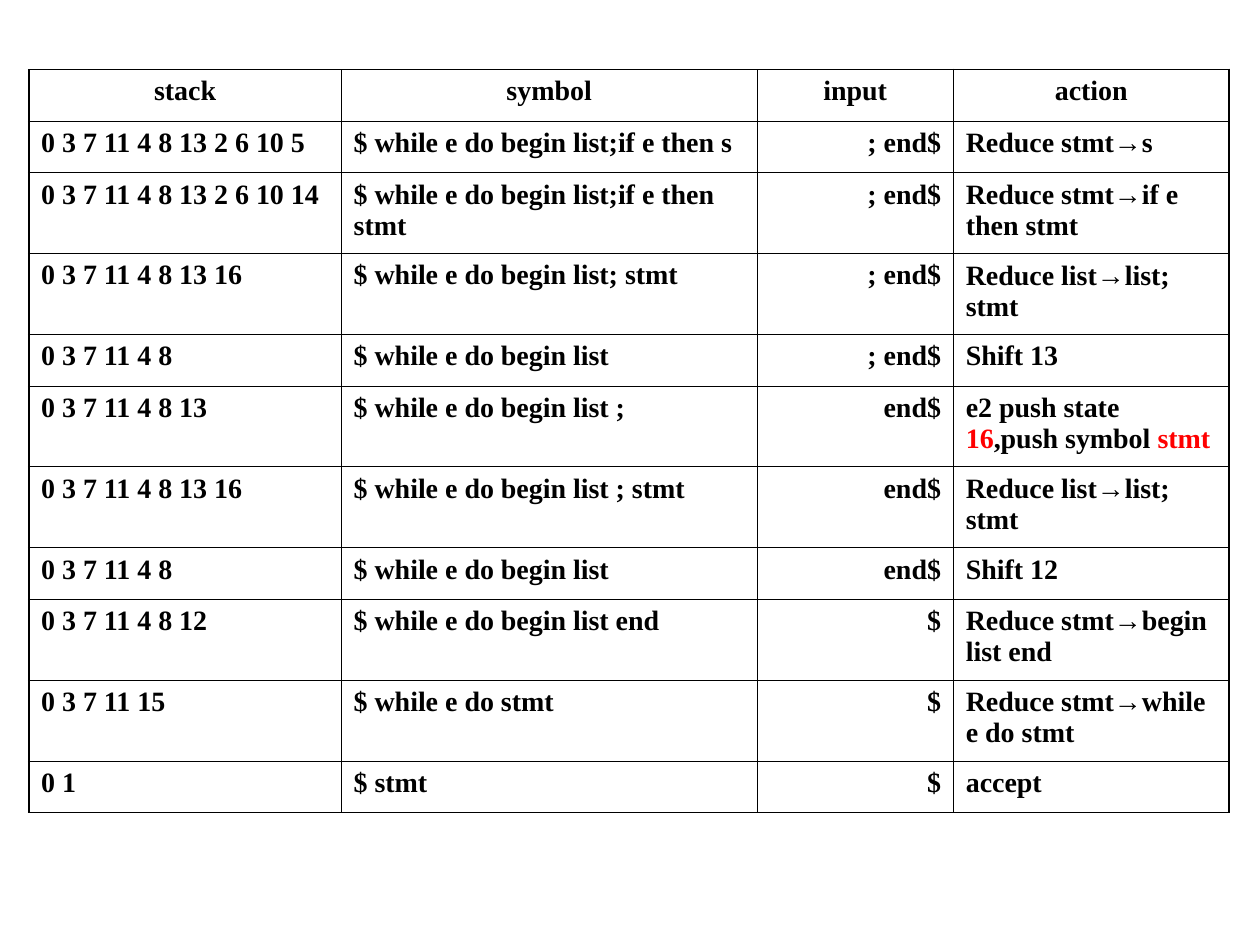
"""Build a slide with the table of LR parsing steps and error recovery."""
from dataclasses import dataclass

import pptx
import pptx.dml.color
import pptx.enum.text
import pptx.oxml
import pptx.oxml.ns
import pptx.table
import pptx.util
from pptx.util import Cm

BLACK = pptx.dml.color.RGBColor(0x00, 0x00, 0x00)
RED = pptx.dml.color.RGBColor(0xFF, 0x00, 0x00)
TEXT_FONT = "Times New Roman"
ARROW_FONT = "Arial"
THIN = pptx.util.Pt(0.45)
THICK = pptx.util.Pt(1.08)
SINGLE_LINE = Cm(1.04)
DOUBLE_LINE = Cm(1.63)
COLUMN_WIDTHS = (Cm(6.3), Cm(8.38), Cm(3.96), Cm(5.56))
HEADINGS = ("stack", "symbol", "input", "action")
LEFT = pptx.enum.text.PP_ALIGN.LEFT
CENTER = pptx.enum.text.PP_ALIGN.CENTER
RIGHT = pptx.enum.text.PP_ALIGN.RIGHT
COLUMN_ALIGNMENTS = (LEFT, LEFT, RIGHT, LEFT)


@dataclass(frozen=True)
class TextRun:
    text: str
    color: pptx.dml.color.RGBColor = BLACK
    font: str = TEXT_FONT


@dataclass(frozen=True)
class Step:
    stack: str
    symbol: str
    remaining_input: str
    action: tuple[TextRun, ...]
    height: pptx.util.Length = SINGLE_LINE

    def cells(self) -> list[tuple[TextRun, ...]]:
        plain = (self.stack, self.symbol, self.remaining_input)
        return [(TextRun(text),) for text in plain] + [self.action]


def say(text: str) -> tuple[TextRun, ...]:
    return (TextRun(text),)


def reduce_by(head: str, body: str) -> tuple[TextRun, ...]:
    return TextRun(f"Reduce {head}"), TextRun("→", font=ARROW_FONT), TextRun(body)


RECOVERY = (
    TextRun("e2 push state "),
    TextRun("16", RED),
    TextRun(",push symbol "),
    TextRun("stmt", RED),
)
STEPS = (
    Step("0 3 7 11 4 8 13 2 6 10 5", "$ while e do begin list;if e then s", "; end$",
         reduce_by("stmt", "s")),
    Step("0 3 7 11 4 8 13 2 6 10 14", "$ while e do begin list;if e then stmt", "; end$",
         reduce_by("stmt", "if e then stmt"), DOUBLE_LINE),
    Step("0 3 7 11 4 8 13 16", "$ while e do begin list; stmt", "; end$",
         reduce_by("list", "list; stmt"), DOUBLE_LINE),
    Step("0 3 7 11 4 8", "$ while e do begin list", "; end$", say("Shift 13")),
    Step("0 3 7 11 4 8 13", "$ while e do begin list ;", "end$", RECOVERY, DOUBLE_LINE),
    Step("0 3 7 11 4 8 13 16", "$ while e do begin list ; stmt", "end$",
         reduce_by("list", "list; stmt"), DOUBLE_LINE),
    Step("0 3 7 11 4 8", "$ while e do begin list", "end$", say("Shift 12")),
    Step("0 3 7 11 4 8 12", "$ while e do begin list end", "$",
         reduce_by("stmt", "begin list end"), DOUBLE_LINE),
    Step("0 3 7 11 15", "$ while e do stmt", "$",
         reduce_by("stmt", "while e do stmt"), DOUBLE_LINE),
    Step("0 1", "$ stmt", "$", say("accept")),
)


def set_borders(cell: pptx.table._Cell, row: int, column: int) -> None:
    widths = {
        "L": THICK if column == 0 else THIN,
        "R": THICK if column == len(HEADINGS) - 1 else THIN,
        "T": THICK if row == 0 and column >= 2 else THIN,
        "B": THIN,
    }
    properties = cell._tc.get_or_add_tcPr()
    for side, width in widths.items():
        properties.append(pptx.oxml.parse_xml(
            f'<a:ln{side} {pptx.oxml.ns.nsdecls("a")} w="{int(width)}">'
            f'<a:solidFill><a:srgbClr val="{BLACK}"/></a:solidFill></a:ln{side}>'
        ))


def write_cell(cell: pptx.table._Cell, text_runs: tuple[TextRun, ...],
               alignment: pptx.enum.text.PP_ALIGN) -> None:
    cell.margin_left = cell.margin_right = Cm(0.25)
    cell.margin_top = cell.margin_bottom = Cm(0.13)
    paragraph = cell.text_frame.paragraphs[0]
    paragraph.alignment = alignment
    for text_run in text_runs:
        run = paragraph.add_run()
        run.text = text_run.text
        run.font.name = text_run.font
        run.font.size = pptx.util.Pt(16)
        run.font.bold = True
        run.font.color.rgb = text_run.color


def draw_parse_table(slide: pptx.slide.Slide) -> None:
    heights = [SINGLE_LINE] + [step.height for step in STEPS]
    rows = [[say(heading) for heading in HEADINGS]] + [step.cells() for step in STEPS]
    table = slide.shapes.add_table(
        len(rows), len(HEADINGS), Cm(0.58), Cm(1.4), sum(COLUMN_WIDTHS), sum(heights)
    ).table
    table.first_row = False
    table.horz_banding = False
    for column, width in zip(table.columns, COLUMN_WIDTHS):
        column.width = width
    for row_index, (height, row) in enumerate(zip(heights, rows)):
        table.rows[row_index].height = height
        for column_index, text_runs in enumerate(row):
            cell = table.cell(row_index, column_index)
            alignment = CENTER if row_index == 0 else COLUMN_ALIGNMENTS[column_index]
            write_cell(cell, text_runs, alignment)
            set_borders(cell, row_index, column_index)
            cell.fill.background()


def main() -> None:
    presentation = pptx.Presentation()
    presentation.slide_width = Cm(25.4)
    presentation.slide_height = Cm(19.05)
    slide = presentation.slides.add_slide(presentation.slide_layouts[6])
    draw_parse_table(slide)
    presentation.save("out.pptx")


if __name__ == "__main__":
    main()
